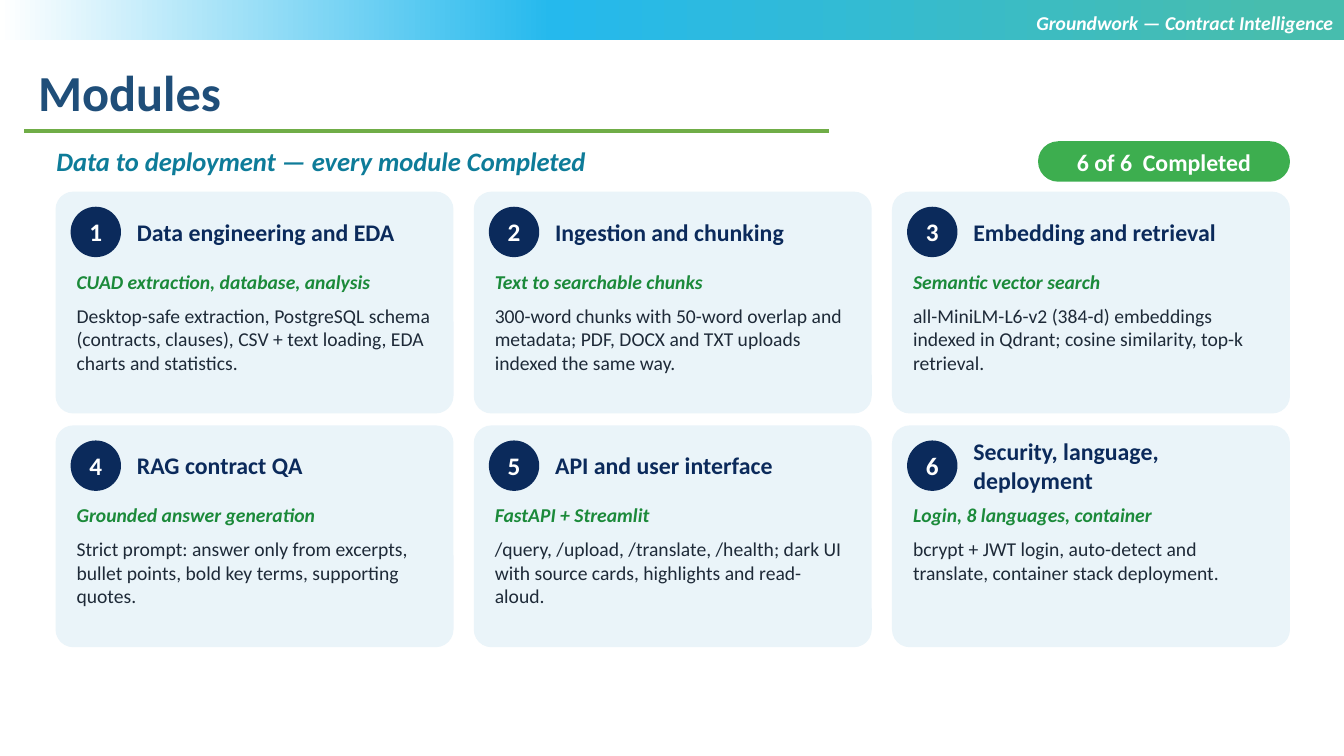
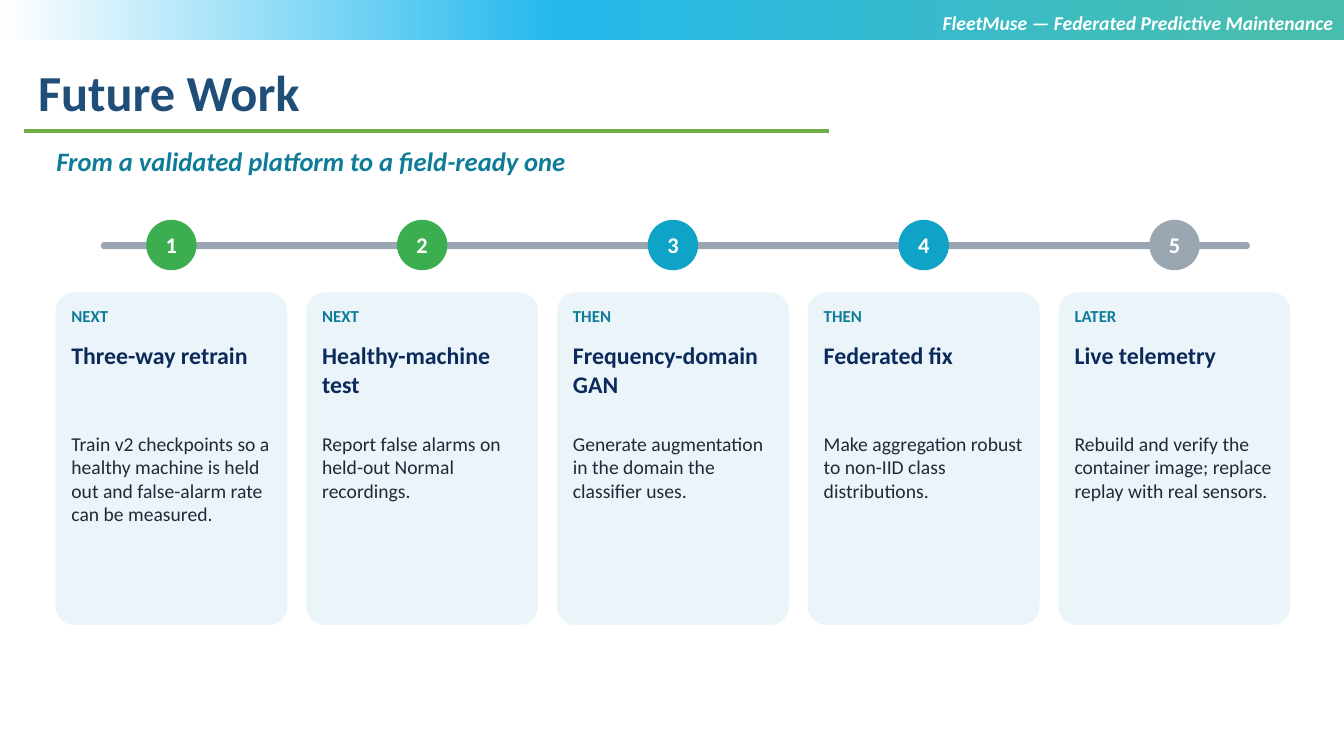
import copy

import pptx
import pptx.dml.color
import pptx.enum.shapes
import pptx.enum.text
import pptx.oxml
import pptx.oxml.ns
import pptx.util

Cm = pptx.util.Cm
Pt = pptx.util.Pt
SHAPE = pptx.enum.shapes.MSO_SHAPE
ALIGN = pptx.enum.text.PP_ALIGN
ANCHOR = pptx.enum.text.MSO_ANCHOR
qn = pptx.oxml.ns.qn

FONT = "Calibri"
WHITE = "FFFFFF"
NAVY = "0B2A5B"
TITLE_BLUE = "1F4E79"
TEAL = "0E7C99"
CYAN = "0FA3C7"
GREEN = "3DAE4F"
DARK_GREEN = "1B8A3A"
RULE_GREEN = "70AD47"
GREY = "9AA7B3"
INK = "1E2A38"
CARD_FILL = "EAF4F9"
BAND_STOPS = [(0.05, "47BDAE"), (0.59, "25B9ED"), (1, WHITE)]

PAGE_WIDTH = 33.87
PAGE_HEIGHT = 19.05
MARGIN = 1.4
DOT = 1.27

MODULES = [
    ("Data engineering and EDA", "CUAD extraction, database, analysis",
     "Desktop-safe extraction, PostgreSQL schema (contracts, clauses), "
     "CSV + text loading, EDA charts and statistics."),
    ("Ingestion and chunking", "Text to searchable chunks",
     "300-word chunks with 50-word overlap and metadata; "
     "PDF, DOCX and TXT uploads indexed the same way."),
    ("Embedding and retrieval", "Semantic vector search",
     "all-MiniLM-L6-v2 (384-d) embeddings indexed in Qdrant; "
     "cosine similarity, top-k retrieval."),
    ("RAG contract QA", "Grounded answer generation",
     "Strict prompt: answer only from excerpts, bullet points, "
     "bold key terms, supporting quotes."),
    ("API and user interface", "FastAPI + Streamlit",
     "/query, /upload, /translate, /health; dark UI with source cards, "
     "highlights and read-aloud."),
    ("Security, language, deployment", "Login, 8 languages, container",
     "bcrypt + JWT login, auto-detect and translate, "
     "container stack deployment."),
]

STEPS = [
    ("NEXT", GREEN, "Three-way retrain",
     "Train v2 checkpoints so a healthy machine is held out "
     "and false-alarm rate can be measured."),
    ("NEXT", GREEN, "Healthy-machine test",
     "Report false alarms on held-out Normal recordings."),
    ("THEN", CYAN, "Frequency-domain GAN",
     "Generate augmentation in the domain the classifier uses."),
    ("THEN", CYAN, "Federated fix",
     "Make aggregation robust to non-IID class distributions."),
    ("LATER", GREY, "Live telemetry",
     "Rebuild and verify the container image; replace replay with real sensors."),
]


def rgb(value):
    return pptx.dml.color.RGBColor.from_string(value)


def write(shape, text, size, color, bold=True, italic=False, align=ALIGN.LEFT,
          anchor=ANCHOR.TOP, inset=(0.15, 0.08), space_after=3):
    """Put one formatted paragraph into a shape; inset is (sides, top and bottom)."""
    frame = shape.text_frame
    frame.text = text
    frame.word_wrap = True
    frame.vertical_anchor = anchor
    frame.margin_left = frame.margin_right = Cm(inset[0])
    frame.margin_top = frame.margin_bottom = Cm(inset[1])
    paragraph = frame.paragraphs[0]
    paragraph.alignment = align
    paragraph.space_after = Pt(space_after)
    font = paragraph.runs[0].font
    font.name = FONT
    font.size = Pt(size)
    font.bold = bold
    font.italic = italic
    font.color.rgb = rgb(color)


def add_text(page, left, top, width, height, text, size, color, **style):
    box = page.shapes.add_textbox(Cm(left), Cm(top), Cm(width), Cm(height))
    write(box, text, size, color, **style)


def add_panel(page, kind, left, top, width, height, fill, corner=None):
    """Add a flat filled shape without outline."""
    panel = page.shapes.add_shape(kind, Cm(left), Cm(top), Cm(width), Cm(height))
    panel.shadow.inherit = False
    panel.line.fill.background()
    panel.fill.solid()
    panel.fill.fore_color.rgb = rgb(fill)
    if corner is not None:
        panel.adjustments[0] = corner
    return panel


def add_card(page, left, top, width, height):
    add_panel(page, SHAPE.ROUNDED_RECTANGLE, left, top, width, height, CARD_FILL, 0.08)


def add_number(page, left, top, number, size, fill):
    dot = add_panel(page, SHAPE.OVAL, left, top, DOT, DOT, fill)
    write(dot, str(number), size, WHITE, align=ALIGN.CENTER,
          anchor=ANCHOR.MIDDLE, inset=(0, 0.08))


def add_band(page):
    band = add_panel(page, SHAPE.RECTANGLE, 0, 0, PAGE_WIDTH, 1.02, WHITE)
    band.fill.gradient()
    band.fill.gradient_angle = 180
    stop_list = next(band.element.iter(qn("a:gsLst")))
    stop_list.append(copy.deepcopy(stop_list[0]))
    for stop, (position, color) in zip(band.fill.gradient_stops, BAND_STOPS):
        stop.position = position
        stop.color.rgb = rgb(color)
    return band


def add_title_rule(page):
    rule = page.shapes.add_connector(
        pptx.enum.shapes.MSO_CONNECTOR.STRAIGHT, Cm(0.61), Cm(3.3), Cm(20.9), Cm(3.3))
    rule.line.color.rgb = rgb(RULE_GREEN)
    rule.line.width = Pt(2.25)
    rule.element.spPr.append(pptx.oxml.parse_xml(
        f'<a:effectLst {pptx.oxml.ns.nsdecls("a")}/>'))
    return rule


def dress_layout(deck, layout):
    """Draw the band and title rule on a scratch page and move them to the layout."""
    page = deck.slides.add_slide(layout)
    for index, part in enumerate((add_band(page), add_title_rule(page))):
        next(part.element.iter(qn("p:cNvPr"))).set("id", str(20 + index))
        layout.shapes.element.insert(2 + index, part.element)
    title = layout.placeholders[0]
    title.left, title.top, title.width, title.height = (
        Cm(0.71), Cm(1.4), Cm(29.5), Cm(1.78))
    return page


def fill_heading(page, title, header, subtitle):
    write(page.shapes.title, title, 36, TITLE_BLUE, inset=(0.25, 0.13), space_after=0)
    add_text(page, 16.92, 0.15, 16.94, 1.78, header, 14, WHITE, italic=True,
             align=ALIGN.RIGHT, inset=(0.25, 0.13), space_after=0)
    add_text(page, 1.27, 3.56, 31.24, 1.07, subtitle, 19, TEAL, italic=True)


def add_module(page, left, top, width, height, number, module):
    name, focus, detail = module
    pad = 0.38
    inner = width - 2 * pad
    add_card(page, left, top, width, height)
    add_number(page, left + pad, top + pad, number, 18, NAVY)
    add_text(page, left + 1.9, top + 0.3, inner - 1.52, 1.42, name, 17, NAVY,
             anchor=ANCHOR.MIDDLE)
    add_text(page, left + pad, top + 1.88, inner, 0.76, focus, 14, DARK_GREEN, italic=True)
    add_text(page, left + pad, top + 2.74, inner, 2.67, detail, 14, INK, bold=False)


def add_step(page, left, top, width, height, number, step):
    """Add a numbered dot on the timeline with its card below."""
    stage, color, name, detail = step
    pad = 0.25
    inner = width - 2 * pad
    card_top = top + 1.83
    add_number(page, left + (width - DOT) / 2, top, number, 16, color)
    add_card(page, left, card_top, width, height - 1.83)
    add_text(page, left + pad, card_top + 0.25, inner, 0.76, stage, 12, TEAL)
    add_text(page, left + pad, card_top + 1.14, inner, 2.16, name, 17, NAVY)
    add_text(page, left + pad, card_top + 3.43, inner, 4.83, detail, 14, INK, bold=False)


def build_modules(page):
    fill_heading(page, "Modules", "Groundwork — Contract Intelligence",
                 "Data to deployment — every module Completed")
    width, height, columns = 10.03, 5.59, 3
    for index, module in enumerate(MODULES):
        row, column = divmod(index, columns)
        add_module(page, MARGIN + column * (width + 0.51), 4.83 + row * (height + 0.3),
                   width, height, index + 1, module)
    badge = add_panel(page, SHAPE.ROUNDED_RECTANGLE, 26.16, 3.56, 6.35, 1.02, GREEN, 0.5)
    write(badge, "6 of 6  Completed", 17, WHITE, align=ALIGN.CENTER, anchor=ANCHOR.MIDDLE)


def build_future_work(page):
    fill_heading(page, "Future Work", "FleetMuse — Federated Predictive Maintenance",
                 "From a validated platform to a field-ready one")
    add_panel(page, SHAPE.ROUNDED_RECTANGLE, 2.54, 6.1, 28.96, 0.18, GREY, 0.5)
    width = 5.84
    for index, step in enumerate(STEPS):
        add_step(page, MARGIN + index * (width + 0.48), 5.54, width, 10.21,
                 index + 1, step)


def main():
    deck = pptx.Presentation()
    deck.slide_width = Cm(PAGE_WIDTH)
    deck.slide_height = Cm(PAGE_HEIGHT)
    layout = deck.slide_layouts.get_by_name("Title Only")
    build_modules(dress_layout(deck, layout))
    build_future_work(deck.slides.add_slide(layout))
    deck.save("out.pptx")


if __name__ == "__main__":
    main()
